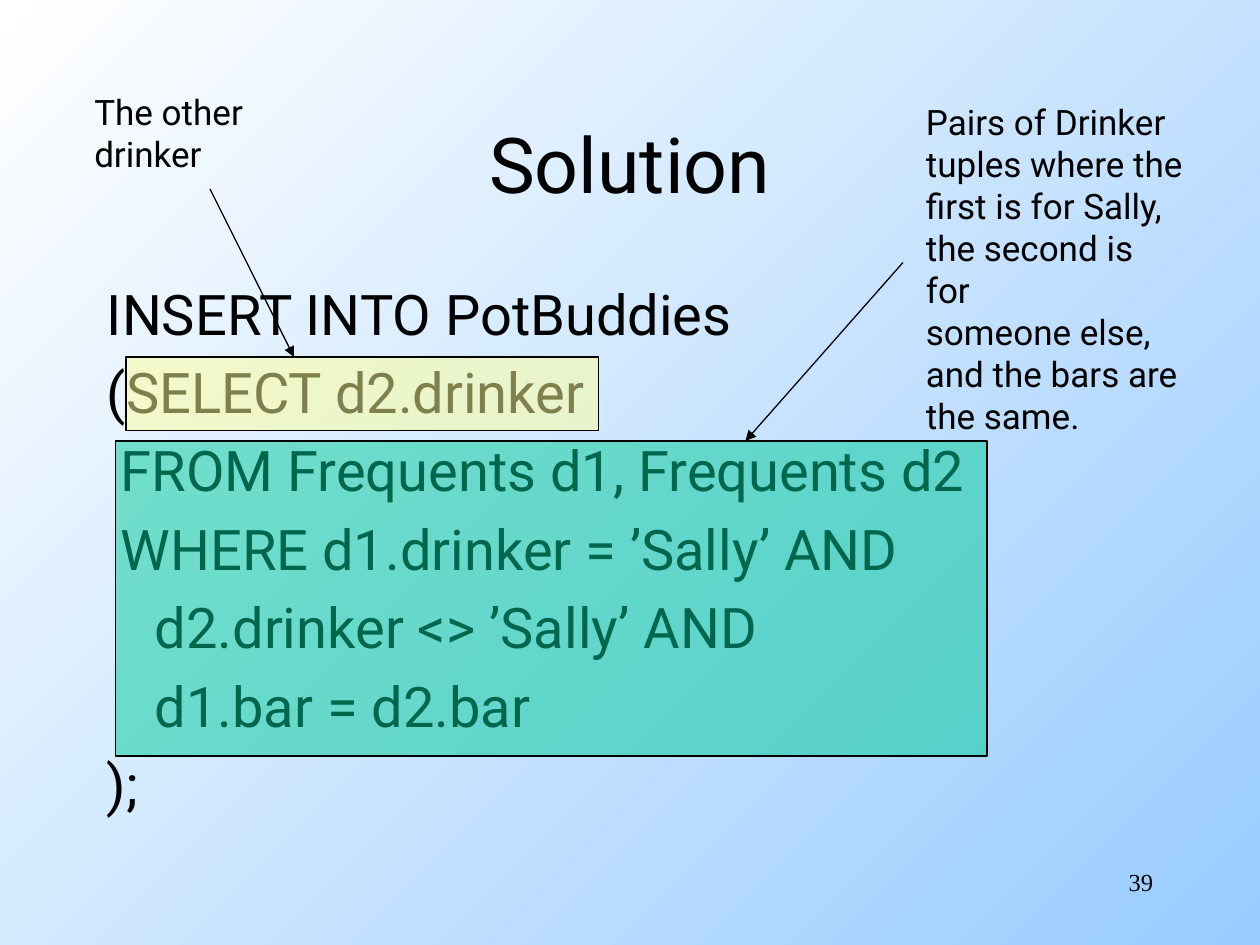
from lxml.etree import SubElement
from pptx import Presentation
from pptx.dml.color import RGBColor
from pptx.enum.shapes import MSO_CONNECTOR as Conn, MSO_SHAPE as Shape
from pptx.enum.text import MSO_ANCHOR as Anchor, PP_ALIGN as Align
from pptx.oxml.ns import qn
from pptx.util import Inches, Pt

BLACK = RGBColor(0x00, 0x00, 0x00)
WHITE = RGBColor(0xFF, 0xFF, 0xFF)
SKY = RGBColor(0x99, 0xCC, 0xFF)
TEAL = RGBColor(0x00, 0xCC, 0x99)
YELLOW = RGBColor(0xFF, 0xFF, 0x99)

# The slide is a grid of 120 columns by 90 rows
WIDTH, HEIGHT = Inches(10), Inches(7.5)
COL, ROW = WIDTH / 120, HEIGHT / 90

HANGING = 0.38
QUERY = [  # text, first-line indent in inches
    ("INSERT INTO PotBuddies", -HANGING),
    ("(SELECT d2.drinker", -HANGING),
    (" FROM Frequents d1, Frequents d2", -HANGING),
    (" WHERE d1.drinker = ’Sally’ AND", -HANGING),
    ("d2.drinker <> ’Sally’ AND", 0),
    ("d1.bar = d2.bar", 0),
    (");", -HANGING),
]
PAIRS_NOTE = ["Pairs of Drinker", "tuples where the", "first is for Sally,",
              "the second is for", "someone else,", "and the bars are", "the same."]
OTHER_NOTE = ["The other", "drinker"]


def grid(col, row, cols, rows):
    return [int(v) for v in (col * COL, row * ROW, cols * COL, rows * ROW)]


def add_text(s, box, lines, size, font="Roboto", align=Align.LEFT, anchor=Anchor.TOP):
    tf = s.shapes.add_textbox(*grid(*box)).text_frame
    tf.word_wrap = True
    tf.vertical_anchor = anchor
    for i, line in enumerate(lines):
        p = tf.paragraphs[0] if i == 0 else tf.add_paragraph()
        p.alignment = align
        r = p.add_run()
        r.text = line
        r.font.size, r.font.name = Pt(size), font
        r.font.color.rgb = BLACK
    return tf


def add_query(s, box, size=32):
    tf = add_text(s, box, [text for text, _ in QUERY], size)
    for p, (_, indent) in zip(tf.paragraphs, QUERY):
        p.space_before = Pt(size * 0.2)
        pPr = p._p.get_or_add_pPr()
        pPr.set("marL", str(Inches(HANGING)))
        pPr.set("indent", str(Inches(indent)))


def add_highlight(s, box, color):
    sp = s.shapes.add_shape(Shape.RECTANGLE, *grid(*box))
    sp.shadow.inherit = False
    sp.fill.solid()
    sp.fill.fore_color.rgb = color
    clr = sp.fill._xPr.find(".//" + qn("a:srgbClr"))
    SubElement(clr, qn("a:alpha"), val="50000")
    sp.line.color.rgb = BLACK
    sp.line.width = Pt(0.75)


def add_arrow(s, start, end):
    line = s.shapes.add_connector(Conn.STRAIGHT, *grid(*start, *end))
    line.line.color.rgb = BLACK
    line.line.width = Pt(0.75)
    SubElement(line.line._get_or_add_ln(), qn("a:tailEnd"), type="triangle")
    SubElement(line._element.spPr, qn("a:effectLst"))


def set_background(s):
    fill = s.background.fill
    fill.gradient()
    fill.gradient_angle = 315
    for stop, color in zip(fill.gradient_stops, (WHITE, SKY)):
        stop.color.rgb = color


def main():
    prs = Presentation()
    prs.slide_width, prs.slide_height = WIDTH, HEIGHT
    s = prs.slides.add_slide(prs.slide_layouts[6])
    set_background(s)

    # Page number, title and query
    add_text(s, (86, 82, 25, 6), ["39"], 14, "Times New Roman", Align.RIGHT)
    add_text(s, (9, 8, 102, 15), ["Solution"], 44, align=Align.CENTER, anchor=Anchor.MIDDLE)
    add_query(s, (9, 26, 102, 54))

    # FROM and WHERE clauses with their note
    add_highlight(s, (11, 42, 83, 30), TEAL)
    add_text(s, (87, 9, 27.1, 29.2), PAIRS_NOTE, 20)
    add_arrow(s, (86, 25), (71, 42))

    # SELECT clause with its note
    add_highlight(s, (12, 34, 45, 7), YELLOW)
    add_text(s, (7.8, 8, 16.8, 9.2), OTHER_NOTE, 20)
    add_arrow(s, (20, 18), (28, 34))

    prs.save("out.pptx")


if __name__ == "__main__":
    main()
